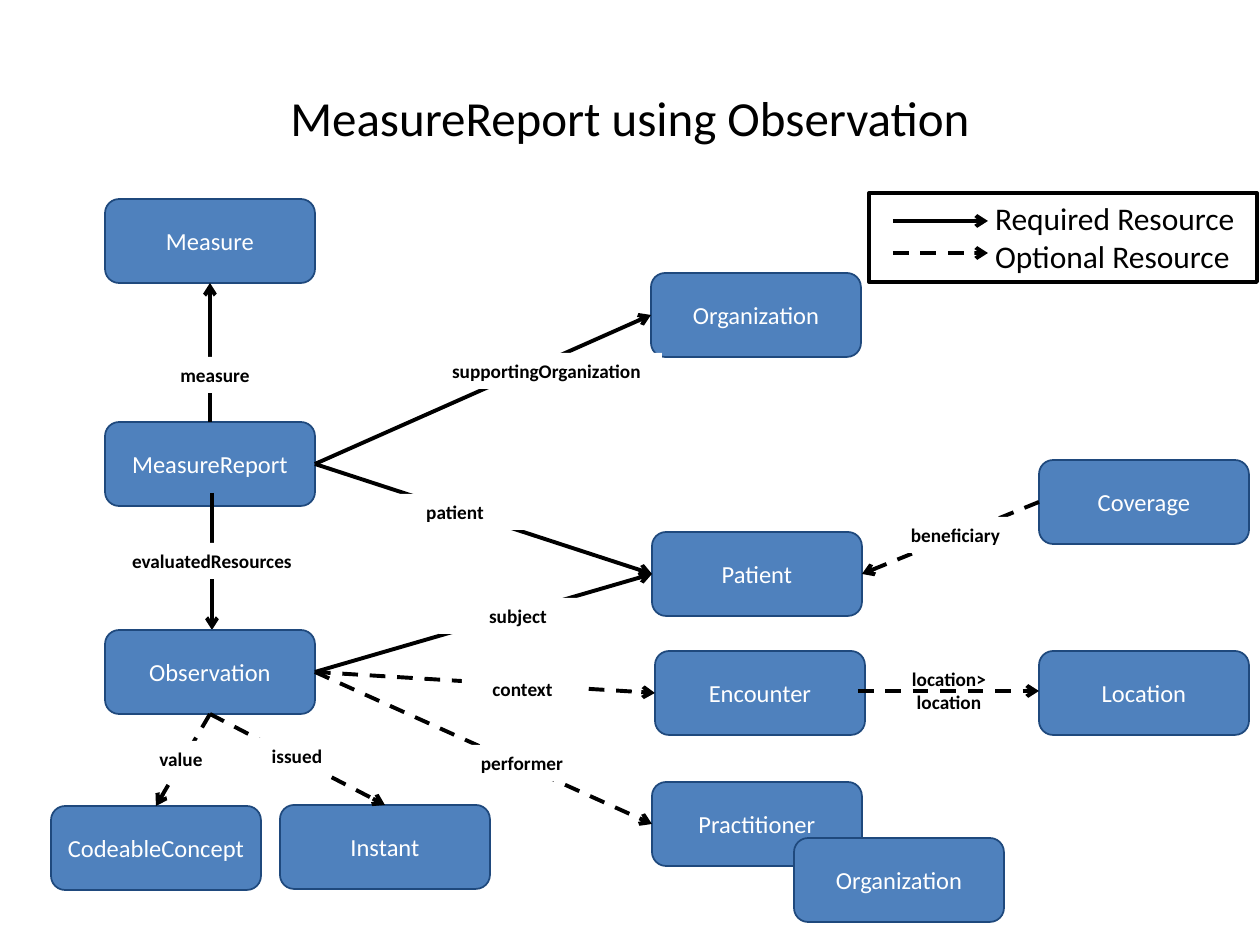
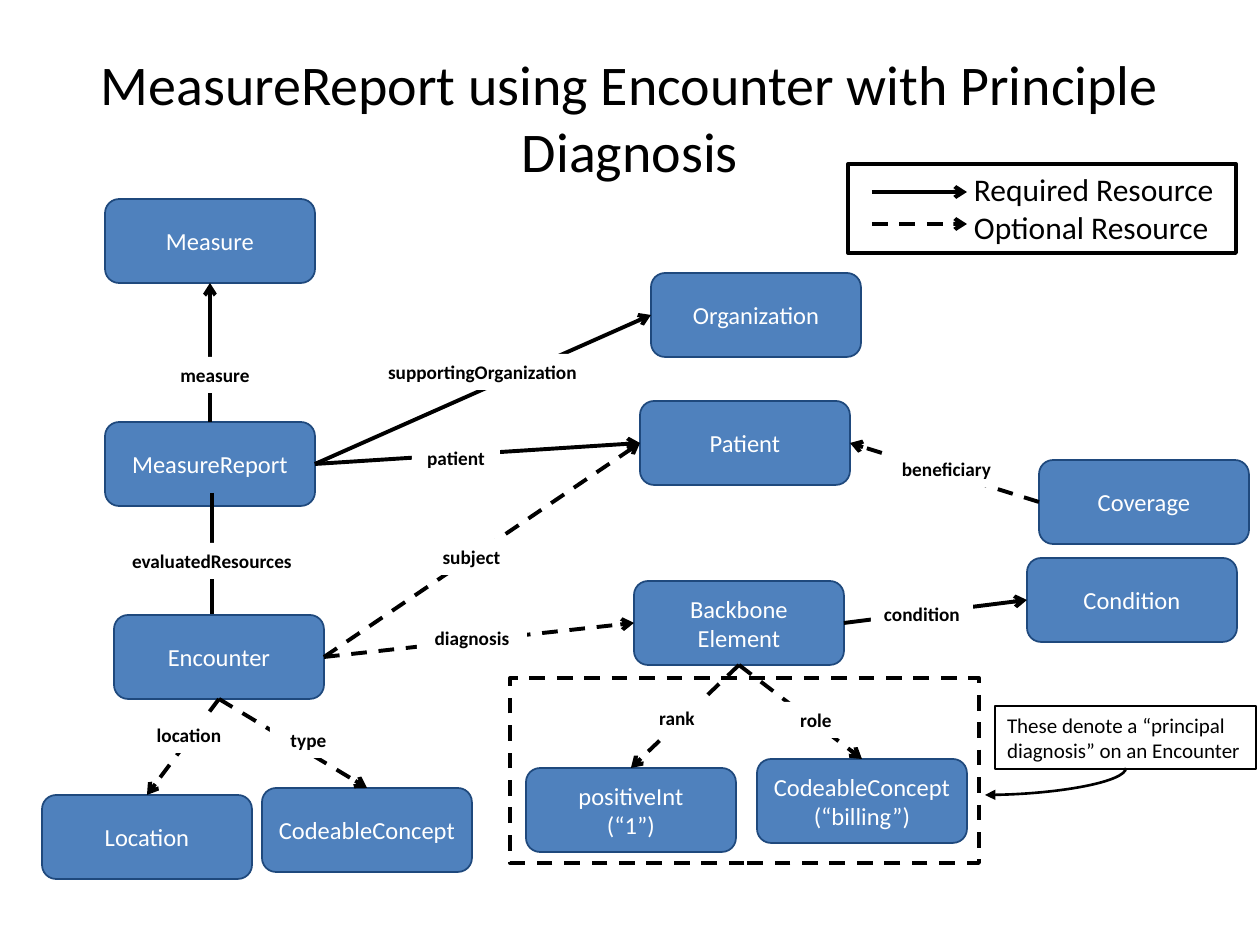
"""Build two MeasureReport resource diagrams."""
import pptx
import pptx.dml.color
import pptx.enum.dml
import pptx.enum.shapes
import pptx.enum.text
import pptx.oxml.ns
import pptx.oxml.xmlchemy
import pptx.util

PX = 7257
FONT = "Calibri"
BLACK, WHITE, BLUE, NAVY = "000000", "FFFFFF", "4F81BD", "1F497D"
SHAPE = pptx.enum.shapes.MSO_SHAPE
WIRE = pptx.enum.shapes.MSO_CONNECTOR
DASH = pptx.enum.dml.MSO_LINE.DASH
ALIGN = pptx.enum.text.PP_ALIGN
ANCHOR = pptx.enum.text.MSO_ANCHOR


def hue(code):
    return pptx.dml.color.RGBColor.from_string(code)


def write(frame, text, size, tint, bold, align):
    frame.word_wrap = True
    frame.auto_size = pptx.enum.text.MSO_AUTO_SIZE.NONE
    for n, part in enumerate(text.split("\n")):
        para = frame.add_paragraph() if n else frame.paragraphs[0]
        para.alignment = align
        run = para.add_run()
        run.text = part
        run.font.name = FONT
        run.font.size = pptx.util.Pt(size)
        run.font.bold = bold
        run.font.color.rgb = hue(tint)


# kind: preset, size, fill, line, weight, dash
looks = {
    "box": (SHAPE.FLOWCHART_ALTERNATE_PROCESS, (210, 84), BLUE, NAVY, 1, None),
    "tag": (SHAPE.RECTANGLE, (158, 36), WHITE, None, 0, None),
    "key": (SHAPE.RECTANGLE, (388, 89), None, BLACK, 2.25, None),
    "note": (SHAPE.RECTANGLE, (261, 63), None, BLACK, 1.5, None),
    "group": (SHAPE.RECTANGLE, (469, 185), None, BLACK, 2.25, DASH),
}
# kind: font size, colour, bold, alignment, anchor, side margin
types = {
    "box": (14, WHITE, False, ALIGN.CENTER, ANCHOR.MIDDLE, 12),
    "tag": (11, BLACK, True, ALIGN.CENTER, ANCHOR.TOP, 0),
    "key": (18, BLACK, False, ALIGN.LEFT, ANCHOR.TOP, 126),
    "note": (12, BLACK, False, ALIGN.LEFT, ANCHOR.TOP, 12),
}
wires = {
    "must": (WIRE.STRAIGHT, 2.25, None, "arrow"),
    "may": (WIRE.STRAIGHT, 2.25, DASH, "arrow"),
    "bend": (WIRE.CURVE, 1.5, None, "triangle"),
}

base = [
    ("box", "Measure", 105, 199),
    ("box", "MeasureReport", 105, 422),
    ("box", "Organization", 651, 273),
    ("box", "Coverage", 1039, 460),
    ("must", ("MeasureReport", 0), ("Measure", 2)),
    ("must", (212, 493), (212, 630)),
    ("tag", "measure", 136, 357),
    ("must", ("MeasureReport", 3), ("Organization", 1)),
    ("tag", "evaluatedResources", 99, 543, 226),
]
first = [
    ("box", "Observation", 105, 630),
    ("box", "Patient", 652, 532),
    ("must", ("MeasureReport", 3), ("Patient", 1)),
    ("tag", "supportingOrganization", 431, 353, 231),
    ("tag", "patient", 376, 494),
    ("must", ("Observation", 3), ("Patient", 1)),
    ("tag", "subject", 439, 598),
    ("box", "Practitioner", 652, 782),
    ("box", "Encounter", 655, 651),
    ("may", ("Observation", 3), ("Encounter", 1)),
    ("may", ("Observation", 3), ("Practitioner", 1)),
    ("tag", "performer", 443, 745),
    ("tag", "context", 462, 671, 121),
    ("box", "Location", 1039, 651),
    ("tag", "location>\nlocation", 894, 661, 110, 59),
    ("may", (858, 691), (1039, 691)),
    ("may", ("Coverage", 1), ("Patient", 3)),
    ("tag", "beneficiary", 893, 517, 125),
    ("box", "Organization", 794, 838),
    ("box", "CodeableConcept", 51, 806),
    ("may", ("Observation", 2), ("CodeableConcept", 0)),
    ("tag", "value", 136, 741, 90),
    ("box", "Instant", 280, 805),
    ("may", ("Observation", 2), ("Instant", 0)),
    ("tag", "issued", 252, 738, 90),
]
second = [
    ("box", "Patient", 640, 401),
    ("must", ("MeasureReport", 3), ("Patient", 1)),
    ("tag", "supportingOrganization", 367, 354, 231),
    ("tag", "patient", 412, 440, 88),
    ("box", "Encounter", 114, 615),
    ("box", "Location", 42, 795),
    ("may", ("Encounter", 2), ("Location", 0)),
    ("may", ("Coverage", 1), ("Patient", 3)),
    ("tag", "beneficiary", 884, 451, 125),
    ("tag", "location", 134, 717, 110),
    ("box", "CodeableConcept", 262, 788),
    ("may", ("Encounter", 2), ("CodeableConcept", 0)),
    ("tag", "type", 270, 722, 77),
    ("may", ("Encounter", 3), ("Patient", 1)),
    ("tag", "subject", 425, 539, 93),
    ("box", "Backbone\nElement", 634, 581),
    ("may", ("Encounter", 3), ("Backbone\nElement", 1)),
    ("tag", "diagnosis", 417, 620, 110),
    ("box", "positiveInt\n(“1”)", 526, 768),
    ("box", "CodeableConcept (“billing”)", 757, 759),
    ("box", "Condition", 1027, 558),
    ("may", ("Backbone\nElement", 2), ("CodeableConcept (“billing”)", 0)),
    ("tag", "role", 782, 702, 68),
    ("may", ("Backbone\nElement", 2), ("positiveInt\n(“1”)", 0)),
    ("tag", "rank", 622, 700, 110),
    ("group", "", 510, 678),
    ("note", "These denote a “principal diagnosis” on an Encounter", 995, 706),
    ("must", ("Backbone\nElement", 3), ("Condition", 1)),
    ("tag", "condition", 871, 596, 102),
    ("bend", (1042, 711), (1069, 852)),
]
pages = [
    ("MeasureReport using Observation", 28, (869, 193), first),
    ("MeasureReport using Encounter with Principle Diagnosis", 32, (848, 164), second),
]

deck = pptx.Presentation()
deck.slide_width = pptx.util.Inches(10)
deck.slide_height = pptx.util.Inches(7.5)

for head, points, (left, top), rows in pages:
    slide = deck.slides.add_slide(deck.slide_layouts[5])
    title = slide.shapes.title
    title.left, title.top = 63 * PX, 38 * PX
    title.width, title.height = 1134 * PX, 158 * PX
    title.text_frame.vertical_anchor = ANCHOR.MIDDLE
    write(title.text_frame, head, points, BLACK, False, ALIGN.CENTER)

    legend = [("key", "Required Resource\nOptional Resource", left, top)]
    for kind, drop in (("must", 28), ("may", 60)):
        legend.append((kind, (left + 24, top + drop), (left + 119, top + drop)))

    nodes = {}
    for kind, *row in base + rows + legend:
        if kind in looks:
            text, x, y, *size = row
            form, full, fill, edge, weight, dash = looks[kind]
            w, h = (*size, *full[len(size):])
            shape = slide.shapes.add_shape(form, x * PX, y * PX, w * PX, h * PX)
            shape.shadow.inherit = False
            if fill:
                shape.fill.solid()
                shape.fill.fore_color.rgb = hue(fill)
            else:
                shape.fill.background()
            if edge:
                shape.line.color.rgb = hue(edge)
                shape.line.width = pptx.util.Pt(weight)
                shape.line.dash_style = dash
            else:
                shape.line.fill.background()
            if text:
                *style, anchor, side = types[kind]
                frame = shape.text_frame
                frame.vertical_anchor = anchor
                frame.margin_left = side * PX
                frame.margin_right = min(side, 12) * PX
                write(frame, text, *style)
            if kind == "box":
                nodes[text] = shape
        else:
            start, end = row
            form, weight, dash, tip = wires[kind]
            wire = slide.shapes.add_connector(form, 0, 0, 0, 0)
            if start[0] in nodes:
                wire.begin_connect(nodes[start[0]], start[1])
            else:
                wire.begin_x, wire.begin_y = start[0] * PX, start[1] * PX
            if end[0] in nodes:
                wire.end_connect(nodes[end[0]], end[1])
            else:
                wire.end_x, wire.end_y = end[0] * PX, end[1] * PX
            wire.line.color.rgb = hue(BLACK)
            wire.line.width = pptx.util.Pt(weight)
            wire.line.dash_style = dash
            props = wire._element.spPr
            tail = pptx.oxml.xmlchemy.OxmlElement("a:tailEnd")
            tail.set("type", tip)
            props.find(pptx.oxml.ns.qn("a:ln")).append(tail)
            props.append(pptx.oxml.xmlchemy.OxmlElement("a:effectLst"))
            if kind == "bend":
                props.find(pptx.oxml.ns.qn("a:prstGeom")).set("prst", "curvedConnector2")
                props.find(pptx.oxml.ns.qn("a:xfrm")).set("rot", "5400000")

deck.save("out.pptx")
